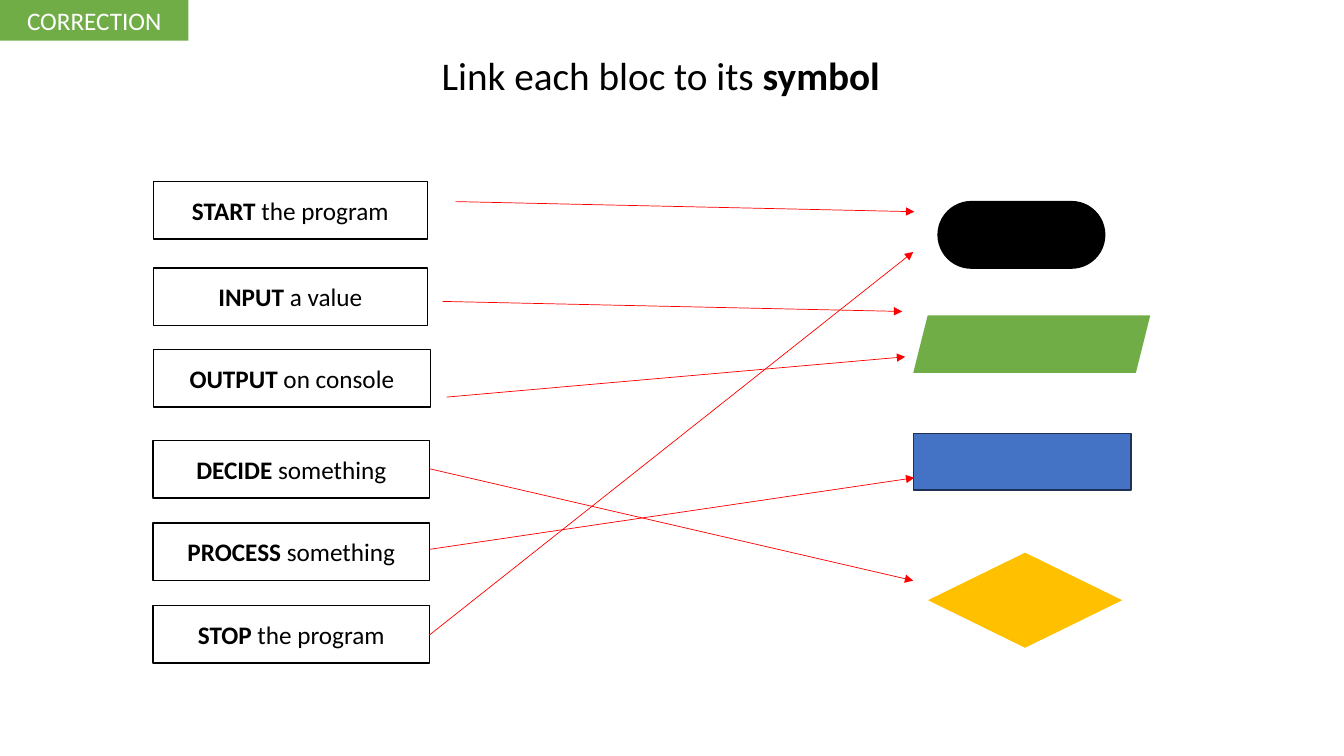
import pptx
import pptx.util
import pptx.dml.color
import pptx.enum.shapes
import pptx.enum.text
import pptx.oxml
import pptx.oxml.ns

RGBColor = pptx.dml.color.RGBColor
BLACK = RGBColor(0x00, 0x00, 0x00)
WHITE = RGBColor(0xFF, 0xFF, 0xFF)
GREEN = RGBColor(0x70, 0xAD, 0x47)
BLUE = RGBColor(0x44, 0x72, 0xC4)
NAVY = RGBColor(0x1E, 0x32, 0x56)
GOLD = RGBColor(0xFF, 0xC0, 0x00)
RED = RGBColor(0xFF, 0x00, 0x00)

FONT = "Calibri"
WIDE, HIGH = pptx.util.Inches(13.33), pptx.util.Inches(7.5)
KIND = pptx.enum.shapes.MSO_SHAPE
ANCHOR = pptx.enum.text.MSO_ANCHOR

# Positions are in percent of the slide's width and height.
LEFT, TALL = 11.4, 7.6
# Bold word, rest, box top, box width, arrow start, arrow end
BLOCS = [
    ("START", " the program", 24, 20.4, (33.9, 26.67), (68.03, 28)),
    ("INPUT", " a value", 35.47, 20.4, (32.93, 39.87), (67.13, 41.2)),
    ("OUTPUT", " on console", 46.27, 20.63, (33.23, 52.53), (67.35, 47.2)),
    ("DECIDE", " something", 58.27, 20.55, (31.95, 62), (67.95, 76.8)),
    ("PROCESS", " something", 69.2, 20.55, (31.95, 72.67), (68.03, 63.2)),
    ("STOP", " the program", 80.13, 20.55, (31.95, 84), (67.95, 33.33)),
]
# Kind, place, fill, line colour, line width
SYMBOLS = [
    (KIND.ROUNDED_RECTANGLE, (69.8, 26.67, 12.4, 8.8), BLACK, BLACK, 1),
    (KIND.PARALLELOGRAM, (67.95, 41.73, 17.63, TALL), GREEN, None, 0),
    (KIND.RECTANGLE, (67.95, 57.33, 16.2, 7.5), BLUE, NAVY, 1),
    (KIND.DIAMOND, (68.85, 72.93, 14.85, 12.93), GOLD, WHITE, 1.5),
]


def spot(*place):
    """Turn percent pairs (across, down, ...) into slide lengths."""
    return [int(part * (HIGH if i % 2 else WIDE) / 100)
            for i, part in enumerate(place)]


def write(frame, runs, size, ink, anchor):
    """Fill a text frame with one centred paragraph of (text, bold) runs."""
    frame.word_wrap = True
    frame.vertical_anchor = anchor
    para = frame.paragraphs[0]
    para.alignment = pptx.enum.text.PP_ALIGN.CENTER
    for text, bold in runs:
        run = para.add_run()
        run.text = text
        run.font.name = FONT
        run.font.size = pptx.util.Pt(size)
        run.font.bold = bold
        run.font.color.rgb = ink
    return para


def draw(slide, kind, place, fill, line=None, width=0):
    """Add a flat preset shape, outlined if a line colour is given."""
    shape = slide.shapes.add_shape(kind, *spot(*place))
    shape.shadow.inherit = False
    shape.fill.solid()
    shape.fill.fore_color.rgb = fill
    if line is None:
        shape.line.fill.background()
    else:
        shape.line.color.rgb = line
        shape.line.width = pptx.util.Pt(width)
    return shape


def link(slide, start, end):
    """Add a thin red arrow between two points."""
    arrow = slide.shapes.add_connector(
        pptx.enum.shapes.MSO_CONNECTOR.STRAIGHT, *spot(*start, *end))
    arrow.line.color.rgb = RED
    arrow.line.width = pptx.util.Pt(0.5)
    tip = pptx.oxml.parse_xml(
        '<a:tailEnd %s type="triangle"/>' % pptx.oxml.ns.nsdecls("a"))
    arrow.line._get_or_add_ln().append(tip)
    flat = pptx.oxml.parse_xml(
        "<a:effectLst %s/>" % pptx.oxml.ns.nsdecls("a"))
    arrow._element.spPr.append(flat)


def head(slide):
    """Place and write the title."""
    title = slide.shapes.title
    title.left, title.top, title.width, title.height = spot(
        23.4, 6.8, 51.53, TALL)
    title.text_frame.auto_size = pptx.enum.text.MSO_AUTO_SIZE.NONE
    para = write(title.text_frame,
                 [("Link each bloc to its ", False), ("symbol", True)],
                 28, BLACK, ANCHOR.TOP)
    para.line_spacing = 0.9
    para.space_before = pptx.util.Pt(10)


def main():
    """Build the slide and save it."""
    deck = pptx.Presentation()
    deck.slide_width, deck.slide_height = WIDE, HIGH
    slide = deck.slides.add_slide(deck.slide_layouts[5])
    head(slide)
    for kind, place, fill, line, width in SYMBOLS:
        shape = draw(slide, kind, place, fill, line, width)
        if kind == KIND.ROUNDED_RECTANGLE:
            shape.adjustments[0] = 0.5
    for word, rest, top, width, start, end in BLOCS:
        box = draw(slide, KIND.RECTANGLE, (LEFT, top, width, TALL),
                   WHITE, BLACK, 1)
        write(box.text_frame, [(word, True), (rest, False)],
              18, BLACK, ANCHOR.MIDDLE)
    for *_, start, end in BLOCS:
        link(slide, start, end)
    tag = draw(slide, KIND.RECTANGLE, (0, 0, 14.03, 5.39), GREEN)
    write(tag.text_frame, [("CORRECTION", False)], 18, WHITE, ANCHOR.TOP)
    deck.save("out.pptx")


main()
